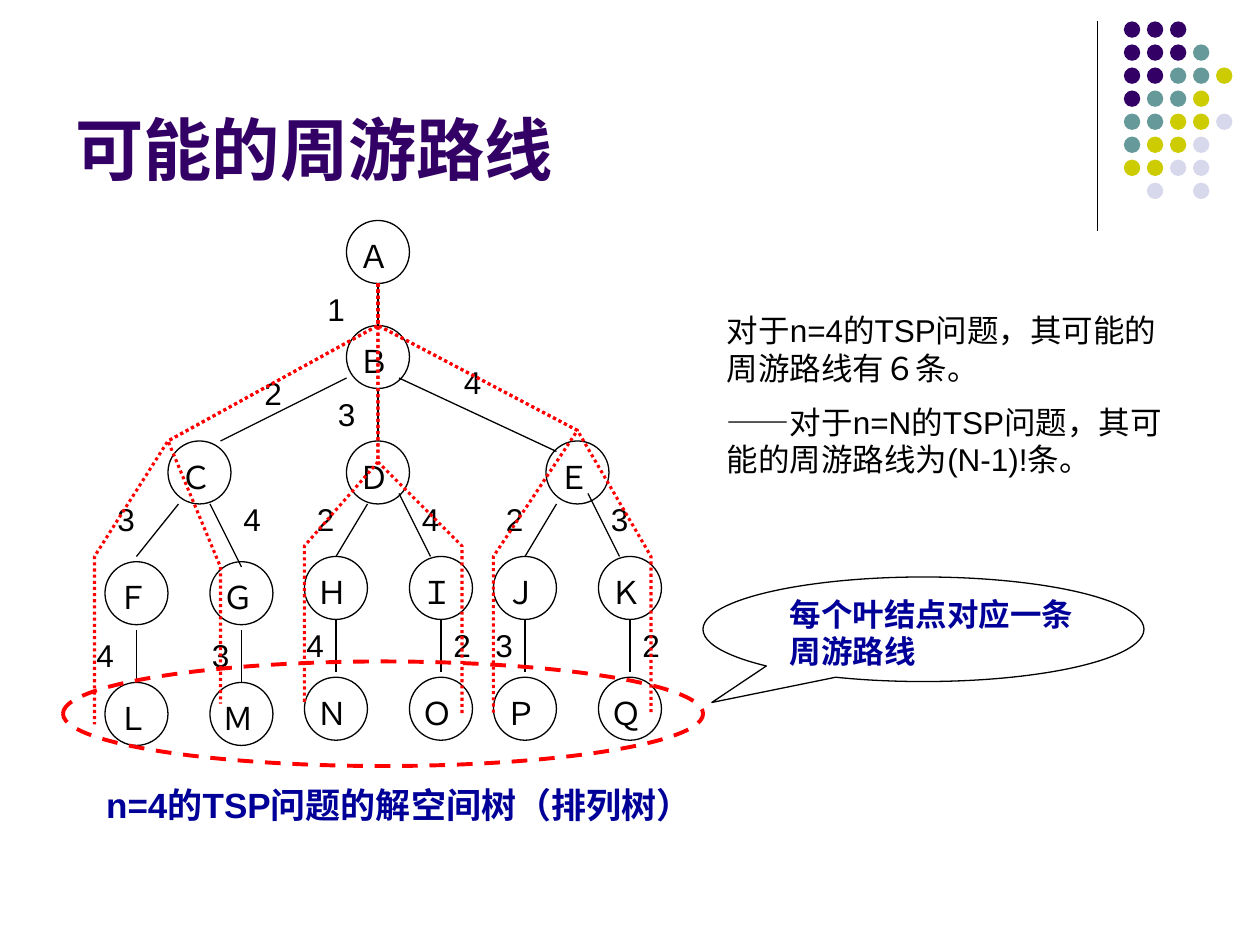
from pptx import Presentation
from pptx import util as u
from pptx.dml import color
from pptx.enum import dml, shapes, text
from pptx.oxml import ns
from lxml import etree

COLORS = {
    "black": "000000",
    "purple": "330066",
    "teal": "669999",
    "olive": "CCCC00",
    "lilac": "D8D8EC",
    "navy": "000099",
    "red": "FF0000",
}
FONT = "Arial"
DOT_COLORS = {"P": "purple", "T": "teal", "O": "olive", "L": "lilac"}
DOT_ROWS = ["PPP", "PPPT", "PPTTO", "PTTO", "TTOOL", "TOOL", "OOLL", " L L"]
UNIT = u.Inches(1 / 12)

NODES = {
    "Ａ": (27, 0), "Ｂ": (27, 10),
    "Ｃ": (10, 21), "Ｄ": (27, 21), "Ｅ": (46, 21),
    "Ｆ": (4, 32.5), "Ｇ": (14, 32.5), "Ｌ": (4, 44), "Ｍ": (14, 44),
    "Ｈ": (23, 32), "Ｉ": (33, 32), "Ｎ": (23, 43.5), "Ｏ": (33, 43.5),
    "Ｊ": (41, 32), "Ｋ": (51, 32), "Ｐ": (41, 43.5), "Ｑ": (51, 43.5),
}
EDGES = [
    (30, 6, 30, 10), (30, 16, 30, 21), (27, 15, 15, 21), (47, 22, 32, 15),
    (29, 27, 26, 32), (11, 27, 7, 32), (47, 27, 44, 32),
    (53, 32, 50, 26), (35, 32, 32, 26), (17, 33, 14, 27),
    *[(x, 39, x, 44) for x in (7, 17)],
    *[(x, 38, x, 43) for x in (26, 36, 44, 54)],
]
EDGE_LABELS = [
    ("1", 24, 6), ("3", 25, 16), ("4", 37, 13), ("2", 18, 14),
    ("3", 4, 26), ("4", 16, 26), ("2", 23, 26), ("4", 33, 26),
    ("2", 41, 26), ("3", 51, 26), ("4", 2, 39), ("3", 13, 39),
    ("4", 22, 38), ("2", 36, 38), ("3", 40, 38), ("2", 54, 38),
]
ROUTES = [
    [(30, 10), (10, 21), (3, 32), (3, 48)],
    [(30, 10), (10, 21), (15, 33), (15, 46)],
    [(30, 10), (30, 23), (23, 31), (23, 46)],
    [(30, 23), (38, 31), (38, 47)],
    [(30, 10), (49, 20), (41, 32), (41, 47)],
    [(30, 10), (49, 20), (56, 32), (56, 47)],
]


def rgb(name):
    return color.RGBColor.from_string(COLORS[name])


def style_line(line, name="black", weight=0.75, dash=None):
    line.color.rgb = rgb(name)
    line.width = u.Pt(weight)
    if dash:
        line.dash_style = dash


def add_outline(slide, preset, left, top, width, height, **line_style):
    outline = slide.shapes.add_shape(preset, left, top, width, height)
    outline.shadow.inherit = False
    outline.fill.background()
    style_line(outline.line, **line_style)
    return outline


def add_line(slide, x1, y1, x2, y2):
    line = slide.shapes.add_connector(shapes.MSO_CONNECTOR.STRAIGHT, x1, y1, x2, y2)
    style_line(line.line)
    etree.SubElement(line._element.spPr, ns.qn("a:effectLst"))


def add_text(slide, left, top, width, height, paragraphs, size=18, name="black",
             bold=False, align=text.PP_ALIGN.LEFT, anchor=text.MSO_ANCHOR.TOP):
    frame = slide.shapes.add_textbox(left, top, width, height).text_frame
    frame.word_wrap = True
    frame.vertical_anchor = anchor
    for index, content in enumerate(paragraphs):
        paragraph = frame.add_paragraph() if index else frame.paragraphs[0]
        paragraph.alignment = align
        if index:
            paragraph.space_before = u.Pt(size / 2)
        run = paragraph.add_run()
        run.text = content
        run.font.name = FONT
        run.font.size = u.Pt(size)
        run.font.bold = bold
        run.font.color.rgb = rgb(name)


def draw_corner(slide, left, top):
    add_line(slide, left, top, left, top + u.Inches(1.66))
    pitch, diameter = u.Inches(1.28 / 7), u.Inches(0.13)
    for row, codes in enumerate(DOT_ROWS):
        for column, code in enumerate(codes):
            if code == " ":
                continue
            dot = slide.shapes.add_shape(
                shapes.MSO_SHAPE.OVAL, left + u.Inches(0.21) + column * pitch,
                top + row * pitch, diameter, diameter)
            dot.shadow.inherit = False
            dot.fill.solid()
            dot.fill.fore_color.rgb = rgb(DOT_COLORS[code])
            dot.line.fill.background()


def draw_tree(slide, left, top):
    def place(x, y):
        return left + round(x * UNIT), top + round(y * UNIT)

    for letter, (x, y) in NODES.items():
        add_outline(slide, shapes.MSO_SHAPE.OVAL, *place(x, y), 6 * UNIT, 6 * UNIT)
        add_text(slide, *place(x, y + 1), 5 * UNIT, u.Inches(0.4), [letter])
    for x1, y1, x2, y2 in EDGES:
        add_line(slide, *place(x1, y1), *place(x2, y2))
    for cost, x, y in EDGE_LABELS:
        add_text(slide, *place(x, y), 4 * UNIT, u.Inches(0.4), [cost])
    add_text(slide, *place(2, 53), 60 * UNIT, u.Inches(0.43),
             ["n=4的TSP问题的解空间树（排列树）"], size=20, name="navy",
             bold=True, align=text.PP_ALIGN.CENTER)
    for stops in ROUTES:
        builder = slide.shapes.build_freeform(*place(30, 6))
        builder.add_line_segments([place(*stop) for stop in stops], close=False)
        route = builder.convert_to_shape()
        route.shadow.inherit = False
        route.fill.background()
        style_line(route.line, "red", 1.75, dml.MSO_LINE.ROUND_DOT)


def draw_leaf_note(slide, left, top):
    add_outline(slide, shapes.MSO_SHAPE.OVAL, left, top + u.Inches(0.67),
                u.Inches(5.08), u.Inches(0.83),
                name="red", weight=2.25, dash=dml.MSO_LINE.DASH)
    callout = add_outline(slide, shapes.MSO_SHAPE.OVAL_CALLOUT, left + u.Inches(5.08),
                          top, u.Inches(3.5), u.Inches(0.83))
    callout.adjustments[0] = -0.48
    callout.adjustments[1] = 0.7
    add_text(slide, left + u.Inches(5.67), top + u.Inches(0.09), u.Inches(2.58),
             u.Inches(0.7), ["每个叶结点对应一条周游路线"], name="navy", bold=True)


def main():
    deck = Presentation()
    deck.slide_width, deck.slide_height = u.Inches(10), u.Inches(7.5)
    slide = deck.slides.add_slide(deck.slide_layouts[6])
    draw_corner(slide, u.Inches(8.71), u.Inches(0.17))
    add_text(slide, u.Inches(0.5), u.Inches(0.13), u.Inches(8.25), u.Inches(1.42),
             ["可能的周游路线"], size=39, name="purple", bold=True,
             anchor=text.MSO_ANCHOR.BOTTOM)
    draw_tree(slide, u.Inches(0.5), u.Inches(1.75))
    add_text(slide, u.Inches(5.67), u.Inches(2.42), u.Inches(3.67), u.Inches(1.45),
             ["对于n=4的TSP问题，其可能的周游路线有６条。",
              "——对于n=N的TSP问题，其可能的周游路线为(N-1)!条。"])
    draw_leaf_note(slide, u.Inches(0.5), u.Inches(4.58))
    deck.save("out.pptx")


if __name__ == "__main__":
    main()
